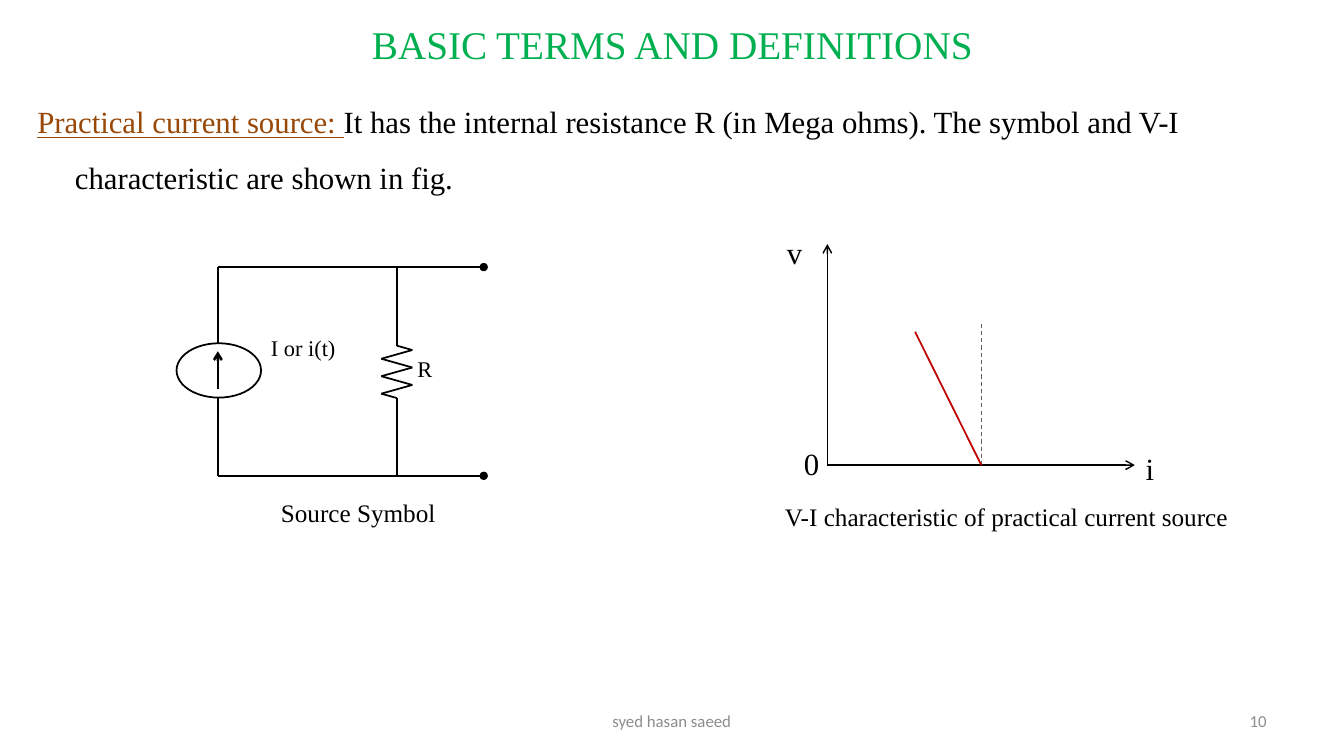
import itertools

import pptx
import pptx.util
import pptx.dml.color
import pptx.enum.dml
import pptx.enum.shapes
import pptx.enum.text
import pptx.oxml

Cm = pptx.util.Cm
Pt = pptx.util.Pt
RGBColor = pptx.dml.color.RGBColor
ALIGN = pptx.enum.text.PP_ALIGN
ANCHOR = pptx.enum.text.MSO_ANCHOR

BLACK = RGBColor(0x00, 0x00, 0x00)
GREEN = RGBColor(0x00, 0xB0, 0x50)
BROWN = RGBColor(0x98, 0x48, 0x07)
RED = RGBColor(0xC0, 0x00, 0x00)
DASH_GRAY = RGBColor(0x60, 0x60, 0x60)
FOOTER_GRAY = RGBColor(0x8C, 0x8C, 0x8C)
SERIF = "Times New Roman"
SANS = "Calibri"


def add_run(p, text, size, color=BLACK, font=SERIF):
    """Append a formatted run to a paragraph."""
    r = p.add_run()
    r.text = text
    r.font.size = Pt(size)
    r.font.name = font
    r.font.color.rgb = color
    return r


def add_text(s, box, text, size, color=BLACK, font=SERIF, align=ALIGN.LEFT, anchor=ANCHOR.TOP):
    """Add a one-paragraph text box; box is left, top, width, height in cm."""
    tf = s.shapes.add_textbox(*map(Cm, box)).text_frame
    tf.word_wrap = True
    tf.vertical_anchor = anchor
    p = tf.paragraphs[0]
    p.alignment = align
    add_run(p, text, size, color, font)
    return p


def add_line(s, start, end, color=BLACK, width=1.25, tail=None):
    """Add a straight line between two points in cm, with an optional end mark."""
    cx = s.shapes.add_connector(
        pptx.enum.shapes.MSO_CONNECTOR.STRAIGHT, *map(Cm, (*start, *end)))
    cx.line.color.rgb = color
    cx.line.width = Pt(width)
    if tail:
        ln = cx.line._get_or_add_ln()
        ln.append(pptx.oxml.parse_xml(
            '<a:tailEnd xmlns:a="http://schemas.openxmlformats.org/drawingml/2006/main" '
            f'type="{tail}"/>'))
    cx._element.spPr.append(pptx.oxml.parse_xml(
        '<a:effectLst xmlns:a="http://schemas.openxmlformats.org/drawingml/2006/main"/>'))
    return cx


def add_definition(s, box):
    """Place the definition paragraph with its underlined term."""
    p = add_text(s, box, "Practical current source: ", 22, BROWN)
    p.runs[0].font.underline = True
    add_run(p, "It has the internal resistance R (in Mega ohms). "
               "The symbol and V-I characteristic are shown in fig.", 22)
    p.line_spacing = 1.5
    pPr = p._p.get_or_add_pPr()
    pPr.set("marL", str(Cm(0.95)))
    pPr.set("indent", str(Cm(-0.95)))


def add_resistor_branch(s, x, top, bottom):
    """Draw the resistor as a zigzag of lines between its two leads."""
    swing, step, first = 0.39, 0.22, top + 2.09
    points = [(x, top), (x, first - step / 2)]
    points += [(x + swing * (-1) ** i, first + step * i) for i in range(6)]
    points += [(x, first + step * 5.5), (x, bottom)]
    for start, end in itertools.pairwise(points):
        add_line(s, start, end)


def add_circuit(s, box):
    """Draw the current source symbol with its caption."""
    left, top, width, height = box
    right, bottom = left + width, top + height - 1.44
    source_w, source_h, source_top = 2.13, 1.37, top + 1.92
    wire_x = left + 1.04
    source = s.shapes.add_shape(
        pptx.enum.shapes.MSO_SHAPE.OVAL,
        *map(Cm, (left, source_top, source_w, source_h)))
    source.shadow.inherit = False
    source.fill.background()
    source.line.color.rgb = BLACK
    source.line.width = Pt(1.25)
    add_line(s, (wire_x, top), (wire_x, source_top))
    add_line(s, (wire_x, source_top + source_h), (wire_x, bottom))
    add_line(s, (wire_x, source_top + 1.16), (wire_x, source_top + 0.2), width=1.75, tail="arrow")
    for y in (top, bottom):
        add_line(s, (wire_x, y), (right, y), tail="oval")
    add_resistor_branch(s, left + 5.55, top, bottom)
    add_text(s, (left + source_w, top + 1.57, 2.54, 0.94), "I or i(t)", 16)
    add_text(s, (left + 5.82, top + 2.1, 1.17, 0.94), "R", 16)
    add_text(s, (left + 2.38, bottom + 0.42, 5.18, 1.02), "Source Symbol", 18)


def add_characteristic(s, box):
    """Draw the V-I axes, the source line and the caption."""
    left, top, width, height = box
    x0, y0 = left + 1.32, top + 5.95
    foot = (left + 5.2, y0)
    add_line(s, (x0, y0), (left + 9.07, y0), width=1, tail="arrow")
    add_line(s, (x0, y0), (x0, top + 0.38), width=1, tail="arrow")
    ideal = add_line(s, (foot[0], top + 2.39), foot, DASH_GRAY, 0.75)
    ideal.line.dash_style = pptx.enum.dml.MSO_LINE.DASH
    add_line(s, foot, (left + 3.53, top + 2.59), RED)
    for label, dx, dy in (("v", 0.05, 0), ("0", 0.48, 5.32), ("i", 9.09, 5.44)):
        add_text(s, (left + dx, top + dy, 1.09, 1.19), label, 22)
    add_text(s, (left, top + height - 1.02, width, 1.02),
             "V-I characteristic of practical current source", 18)


def add_footer(s, top, height):
    """Place the author name and the slide number."""
    add_text(s, (11.57, top, 10.72, height), "syed hasan saeed", 12,
             FOOTER_GRAY, SANS, ALIGN.CENTER, ANCHOR.MIDDLE)
    add_text(s, (24.27, top, 7.9, height), "10", 12,
             FOOTER_GRAY, SANS, ALIGN.RIGHT, ANCHOR.MIDDLE)


def main():
    """Build the slide and save it."""
    prs = pptx.Presentation()
    prs.slide_width, prs.slide_height = Cm(33.87), Cm(19.05)
    s = prs.slides.add_slide(prs.slide_layouts[6])
    add_text(s, (1.7, 0.26, 30.48, 1.68), "BASIC TERMS AND DEFINITIONS", 28,
             GREEN, align=ALIGN.CENTER, anchor=ANCHOR.MIDDLE)
    add_definition(s, (0.69, 2.01, 32.69, 15.72))
    add_characteristic(s, (19.53, 5.77, 12.57, 7.75))
    add_circuit(s, (4.45, 6.73, 7.74, 6.7))
    add_footer(s, 17.65, 1.02)
    prs.save("out.pptx")


if __name__ == "__main__":
    main()
